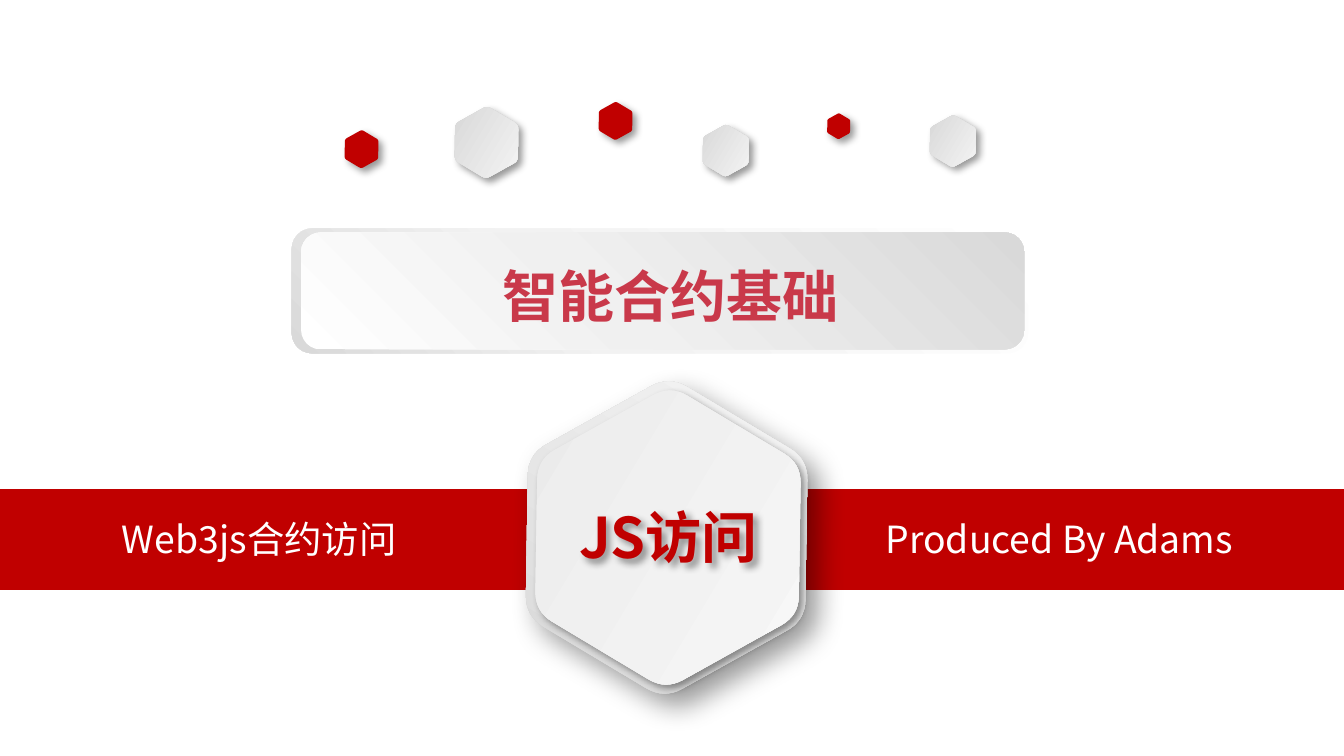
"""Build the title slide with hexagons, a title bar and a red band."""
import math
from lxml import etree
from pptx import Presentation
from pptx.dml.color import RGBColor
from pptx.enum.shapes import MSO_SHAPE
from pptx.enum.text import MSO_ANCHOR, MSO_AUTO_SIZE, PP_ALIGN
from pptx.oxml.ns import qn
from pptx.util import Inches, Pt

RECT, ROUND = MSO_SHAPE.RECTANGLE, MSO_SHAPE.ROUNDED_RECTANGLE
LEFT, CENTER = PP_ALIGN.LEFT, PP_ALIGN.CENTER
MIDDLE, GROW = MSO_ANCHOR.MIDDLE, MSO_AUTO_SIZE.SHAPE_TO_FIT_TEXT
FONT, RED, WHITE = "Noto Sans CJK SC", "C00000", "FFFFFF"
WIDE = Inches(10)
TILT, CUT, STEPS = 30.9, 0.13, 8
SOFT, DEEP = (4, 3), (15, 9)
GRAY = ([(0, "D3D3D3"), (100, "F9F9F9")], 0)
RIM = (GRAY[0], 270)
FACE = ([(0, "E9E9E9"), (100, "F9F9F9")], 0)

BAND = (0, 3.64, 10, 0.75)
NOTES = [
    ("Web3js合约访问", (0.17, 3.79, 3.52, 0.44), CENTER),
    ("Produced By Adams", (6.49, 3.79, 3.5, 0.44), LEFT),
]
HEXES = [
    (3.62, 1.06, 0.47, GRAY, SOFT),
    (4.58, 0.9, 0.25, RED, SOFT),
    (2.69, 1.11, 0.25, RED, SOFT),
    (5.4, 1.12, 0.34, GRAY, SOFT),
    (6.24, 0.94, 0.17, RED, SOFT),
    (7.09, 1.05, 0.34, GRAY, SOFT),
    (4.96, 4.0, 2.08, RIM, DEEP),
    (4.97, 4.0, 1.96, FACE, SOFT),
]
BARS = [
    ((2.17, 1.7, 5.48, 0.93), ([(0, WHITE), (62, "F2F2F2"), (100, "D9D9D9")], 135)),
    ((2.24, 1.73, 5.38, 0.87), ([(0, WHITE), (42, "F0F0F0"), (100, "D9D9D9")], 315)),
]
TITLE = ("智能合约基础", (2.25, 1.9, 5.48, 0.6))
BADGE = ("JS访问", (3.99, 3.74, 1.97, 0.5))


def color(code):
    return RGBColor.from_string(code)


def add(root, tag, **attrs):
    return etree.SubElement(root, qn(tag), {k: str(v) for k, v in attrs.items()})


def paint(shape, fill):
    shape.line.fill.background()
    shape.shadow.inherit = False
    if fill is None:
        shape.fill.background()
    elif isinstance(fill, str):
        shape.fill.solid()
        shape.fill.fore_color.rgb = color(fill)
    else:
        stops, angle = fill
        shape.fill.gradient()
        shape.fill.gradient_angle = -angle % 360
        items = shape.element.spPr.find(".//" + qn("a:gsLst"))
        items.clear()
        for pos, code in stops:
            stop = add(items, "a:gs", pos=pos * 1000)
            add(stop, "a:srgbClr", val=code)


def shade(shape, blur, dist):
    root = shape.element.spPr.find(qn("a:effectLst"))
    cast = add(root, "a:outerShdw", blurRad=Pt(blur), dist=Pt(dist),
               dir=45 * 60000, algn="tl", rotWithShape=0)
    add(add(cast, "a:srgbClr", val="000000"), "a:alpha", val=40000)


def block(kind, box, fill):
    shape = shapes.add_shape(kind, *map(Inches, box))
    paint(shape, fill)
    return shape


def outline(x, y, high):
    """Return the points of a hexagon with rounded corners."""
    size = high / math.sqrt(3)
    tips = [(x + size * math.cos(i * math.pi / 3),
             y + size * math.sin(i * math.pi / 3)) for i in range(6)]
    points = []
    for i, tip in enumerate(tips):
        prior, later = tips[i - 1], tips[(i + 1) % 6]
        for step in range(STEPS + 1):
            t = step / STEPS
            back, ahead = CUT * (1 - t) ** 2, CUT * t ** 2
            points.append(tuple(
                Inches(c + back * (a - c) + ahead * (b - c))
                for a, c, b in zip(prior, tip, later)))
    return points


def hexagon(x, y, high, fill, cast):
    first, *rest = outline(x, y, high)
    pen = shapes.build_freeform(*first)
    pen.add_line_segments(rest, close=True)
    shape = pen.convert_to_shape()
    shape.rotation = TILT
    paint(shape, fill)
    shade(shape, *cast)


def write(shape, text, size, code, align=CENTER, bold=False):
    frame = shape.text_frame
    frame.word_wrap = True
    frame.text = text
    line = frame.paragraphs[0]
    line.alignment = align
    font = line.runs[0].font
    font.size, font.bold, font.name = Pt(size), bold, FONT
    font.color.rgb = color(code)
    add(line.runs[0].font._element, "a:ea", typeface=FONT)


def label(text, box, *style):
    shape = shapes.add_textbox(*map(Inches, box))
    write(shape, text, *style)
    shape.text_frame.auto_size = GROW


deck = Presentation()
deck.slide_width, deck.slide_height = WIDE, WIDE * 9 // 16
shapes = deck.slides.add_slide(deck.slide_layouts[6]).shapes

block(RECT, BAND, RED)
for text, box, align in NOTES:
    label(text, box, 20, WHITE, align)
for item in HEXES:
    hexagon(*item)
for box, fill in BARS:
    block(ROUND, box, fill)
label(*TITLE, 30, "C9394A", CENTER, True)
text, box = BADGE
badge = block(ROUND, box, None)
shade(badge, *SOFT)
write(badge, text, 30, RED, CENTER, True)
badge.text_frame.vertical_anchor = MIDDLE
deck.save("out.pptx")
